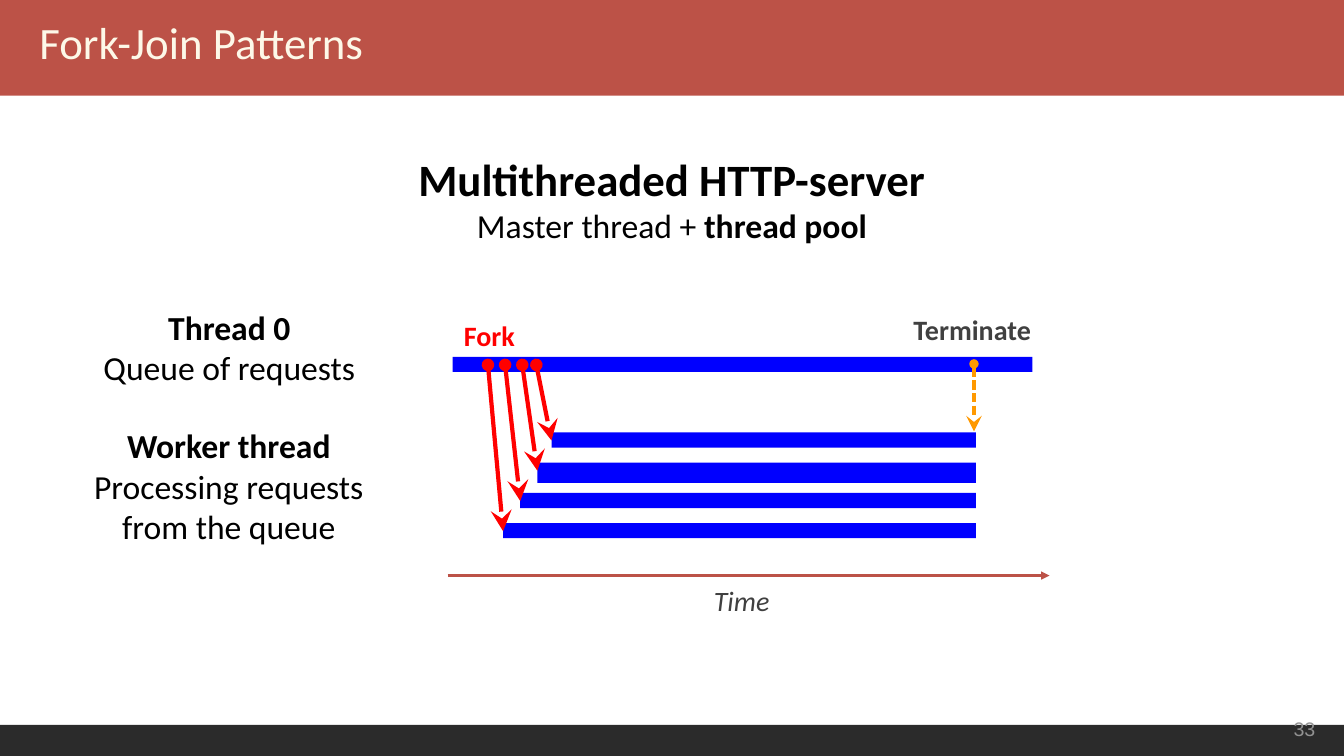
from lxml.etree import SubElement
from pptx import Presentation
from pptx.dml.color import RGBColor
from pptx.enum.shapes import MSO_CONNECTOR, MSO_SHAPE
from pptx.enum.text import MSO_ANCHOR, MSO_AUTO_SIZE, PP_ALIGN
from pptx.oxml.ns import qn
from pptx.util import Inches, Pt

COLORS = {
    "brick": "BC5247", "cream": "FDF8E8", "dark": "2B2B2B", "blue": "0000FF",
    "red": "FF0000", "orange": "FF9900", "black": "000000", "gray": "404040",
    "pale": "929292",
}


def color(name):
    return RGBColor.from_string(COLORS[name])


class Deck:
    def __init__(self, font):
        self.font = font
        self.prs = Presentation()
        self.prs.slide_width, self.prs.slide_height = Inches(13.33), Inches(7.5)
        self.slide = self.prs.slides.add_slide(self.prs.slide_layouts[5])
        self.shapes = self.slide.shapes

    def bar(self, x, y, w, h, fill):
        bar = self.shapes.add_shape(
            MSO_SHAPE.RECTANGLE, Inches(x), Inches(y), Inches(w), Inches(h))
        bar.shadow.inherit = False
        bar.fill.solid()
        bar.fill.fore_color.rgb = color(fill)
        bar.line.fill.background()

    def put(self, frame, lines, tint, align, font=None, italic=False):
        """Each line is a size and a list of (text, bold) runs."""
        frame.word_wrap = True
        frame.auto_size = MSO_AUTO_SIZE.NONE
        frame.vertical_anchor = MSO_ANCHOR.TOP
        frame.margin_left = frame.margin_right = frame.margin_bottom = 0
        frame.margin_top = Inches(0.01)
        for i, (size, runs) in enumerate(lines):
            para = frame.add_paragraph() if i else frame.paragraphs[0]
            para.alignment = align
            para.font.name = font or self.font
            para.font.size = Pt(size)
            para.font.italic = italic
            para.font.color.rgb = color(tint)
            for text, bold in runs:
                run = para.add_run()
                run.text = text
                run.font.bold = bold

    def text(self, x, y, w, h, lines, tint="black", align=PP_ALIGN.CENTER, **style):
        box = self.shapes.add_textbox(Inches(x), Inches(y), Inches(w), Inches(h))
        self.put(box.text_frame, lines, tint, align, **style)

    def label(self, x, y, w, text, tint, bold=True, italic=False):
        self.text(x, y, w, 0.35, [(20, [(text, bold)])], tint,
                  PP_ALIGN.LEFT, italic=italic)

    def title(self, x, y, w, h, text):
        title = self.shapes.title
        title.left, title.top = Inches(x), Inches(y)
        title.width, title.height = Inches(w), Inches(h)
        self.put(title.text_frame, [(32, [(text, False)])], "cream", PP_ALIGN.LEFT)
        # Bring the title in front of its band
        self.shapes._spTree.append(title._element)

    def arrow(self, start, end, tint, width, tip="stealth", size="lg", dot=True,
              dash=None):
        line = self.shapes.add_connector(
            MSO_CONNECTOR.STRAIGHT, *(Inches(v) for v in start + end))
        line.line.color.rgb = color(tint)
        line.line.width = Pt(width)
        ln = line.line._get_or_add_ln()
        if dash:
            SubElement(ln, qn("a:prstDash"), val=dash)
        if dot:
            SubElement(ln, qn("a:headEnd"), type="oval", w="med", len="med")
        SubElement(ln, qn("a:tailEnd"), type=tip, w=size, len=size)
        SubElement(line._element.spPr, qn("a:effectLst"))


def main():
    deck = Deck("Calibri")

    # Bands and title
    deck.bar(0, 7.19, 13.33, 0.31, "dark")
    deck.bar(0, 0, 13.33, 0.95, "brick")
    deck.title(0.39, 0.14, 6, 0.7, "Fork-Join Patterns")

    # Heading
    deck.text(4.13, 1.49, 5.07, 0.95, [
        (32, [("Multithreaded HTTP-server", True)]),
        (24, [("Master thread + ", False), ("thread pool", True)]),
    ])

    # Thread descriptions
    deck.text(1.01, 3.03, 2.53, 0.81, [
        (24, [("Thread 0", True)]),
        (24, [("Queue of requests", False)]),
    ])
    deck.text(0.92, 4.21, 2.7, 1.21, [
        (24, [("Worker thread", True)]),
        (24, [("Processing requests", False)]),
        (24, [("from the queue", False)]),
    ])

    # Master thread and its workers, each with a fork arrow
    deck.bar(4.49, 3.54, 5.75, 0.15, "blue")
    workers = [(5.47, 0.15), (5.33, 0.2), (5.16, 0.15), (4.99, 0.15)]
    for i, (left, high) in enumerate(workers):
        top = 4.29 + 0.3 * i
        deck.bar(left, top, 9.68 - left, high, "blue")
        deck.arrow((left - 0.15, 3.62), (left, top + 0.08), "red", 3)
    deck.label(4.6, 3.15, 0.65, "Fork", "red")

    # Termination
    deck.arrow((9.66, 3.61), (9.66, 4.28), "orange", 2.25, dash="sysDash")
    deck.label(9.06, 3.09, 1.25, "Terminate", "gray")

    # Time axis
    deck.arrow((4.44, 5.71), (10.41, 5.71), "brick", 1.75, "triangle", "med", False)
    deck.label(7.08, 5.78, 0.7, "Time", "gray", bold=False, italic=True)

    # Page number
    deck.text(12.83, 7.1, 0.28, 0.25, [(14, [("33", False)])], "pale",
              PP_ALIGN.LEFT, font="Arial")

    deck.prs.save("out.pptx")


if __name__ == "__main__":
    main()
